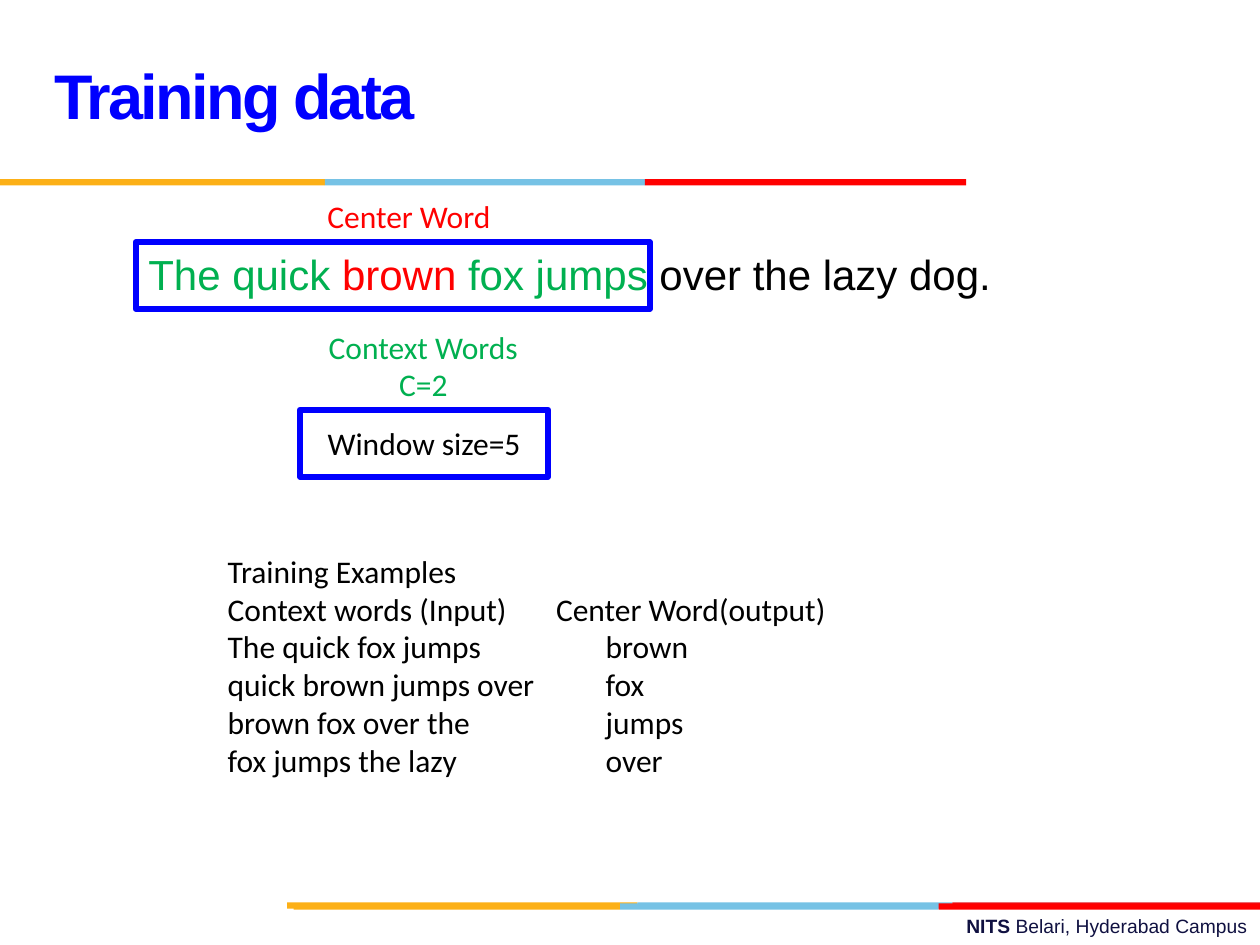
from dataclasses import dataclass

from lxml import etree
from pptx import Presentation
from pptx import util as u
from pptx.dml.color import RGBColor
from pptx.enum import shapes, text
from pptx.oxml import ns

AMBER = RGBColor(0xFC, 0xB0, 0x17)
SKY = RGBColor(0x76, 0xC2, 0xE5)
CRIMSON = RGBColor(0xE3, 0x1C, 0x24)
RED = RGBColor(0xFF, 0x00, 0x00)
GREEN = RGBColor(0x00, 0xB0, 0x50)
BLUE = RGBColor(0x00, 0x00, 0xFF)
NAVY = RGBColor(0x10, 0x11, 0x41)
BLACK = RGBColor(0x00, 0x00, 0x00)
LEFT, CENTER, RIGHT = text.PP_ALIGN.LEFT, text.PP_ALIGN.CENTER, text.PP_ALIGN.RIGHT


@dataclass
class Box:
    left: float
    top: float
    width: float
    height: float

    def lengths(self):
        return [u.Cm(v) for v in (self.left, self.top, self.width, self.height)]


@dataclass
class Band:
    """Three coloured strips between four edges."""
    top: float
    edges: tuple
    colors: tuple = (AMBER, SKY, RED)


@dataclass
class Piece:
    words: str
    color: RGBColor = BLACK
    bold: bool = False


BAND_HEIGHT = 0.13
BANDS = [
    Band(18.19, (5.79, 12.85, 19.2, 25.4), (AMBER, SKY, CRIMSON)),
    Band(18.21, (5.92, 12.5, 18.92, 25.4)),
    Band(3.61, (0, 6.55, 13, 19.48)),
]
SENTENCE = Box(2.74, 4.88, 17.58, 1.35)

# Each row: context words, center word, tab position in cm
EXAMPLES = [("Context words (Input)", "Center Word(output)", 6.62)] + [
    (context, center, 7.62) for context, center in (
        ("The quick fox jumps", "brown"),
        ("quick brown jumps over", "fox"),
        ("brown fox over the", "jumps"),
        ("fox jumps the lazy", "over"),
    )
]


def draw_band(slide, band: Band) -> None:
    for left, right, color in zip(band.edges, band.edges[1:], band.colors):
        box = Box(left, band.top, right - left, BAND_HEIGHT)
        strip = slide.shapes.add_shape(shapes.MSO_SHAPE.RECTANGLE, *box.lengths())
        strip.shadow.inherit = False
        strip.fill.solid()
        strip.fill.fore_color.rgb = color
        strip.line.fill.background()


def write(frame, lines: list, size: float, font="Calibri", align=LEFT) -> None:
    """Fill a frame with lines, each a list of pieces."""
    for number, pieces in enumerate(lines):
        paragraph = frame.add_paragraph() if number else frame.paragraphs[0]
        paragraph.alignment = align
        for piece in pieces:
            run = paragraph.add_run()
            run.text = piece.words
            run.font.size = u.Pt(size)
            run.font.name = font
            run.font.bold = piece.bold
            run.font.color.rgb = piece.color


def draw_text(slide, box: Box, lines: list, size=18, font="Calibri",
              align=LEFT, wrap=False):
    frame = slide.shapes.add_textbox(*box.lengths()).text_frame
    frame.word_wrap = wrap
    write(frame, lines, size, font, align)
    return frame


def draw_outline(slide, box: Box):
    outline = slide.shapes.add_shape(shapes.MSO_SHAPE.RECTANGLE, *box.lengths())
    outline.shadow.inherit = False
    outline.fill.background()
    outline.line.color.rgb = BLUE
    outline.line.width = u.Pt(3.5)
    return outline.text_frame


def draw_title(slide, words: str) -> None:
    title = slide.shapes.title
    title.left, title.top, title.width, title.height = Box(0.84, 0.43, 17.58, 3.18).lengths()
    frame = title.text_frame
    frame.vertical_anchor = text.MSO_ANCHOR.MIDDLE
    write(frame, [[Piece(words, BLUE, True)]], 36, "Arial")
    paragraph = frame.paragraphs[0]
    paragraph.line_spacing = u.Pt(36)
    paragraph.runs[0].font._element.set("spc", "-150")


def set_tab(paragraph, position: float) -> None:
    stops = etree.SubElement(paragraph._p.get_or_add_pPr(), ns.qn("a:tabLst"))
    etree.SubElement(stops, ns.qn("a:tab"), pos=str(u.Cm(position)), algn="l")


def main() -> None:
    deck = Presentation()
    deck.slide_width, deck.slide_height = u.Cm(25.4), u.Cm(19.05)
    slide = deck.slides.add_slide(deck.slide_layouts[5])

    # Footer and coloured bands
    draw_text(slide, Box(9.09, 18.31, 16.31, 0.74),
              [[Piece("NITS ", NAVY, True), Piece("Belari, Hyderabad Campus", NAVY)]],
              11, "Arial", RIGHT, True)
    for band in BANDS:
        draw_band(slide, band)

    draw_title(slide, "Training data")

    # Sentence with its labels
    draw_text(slide, SENTENCE,
              [[Piece("The quick ", GREEN), Piece("brown ", RED),
                Piece("fox jumps ", GREEN), Piece("over the lazy dog.")]],
              24, "Arial", wrap=True)
    draw_text(slide, Box(6.35, 3.84, 3.84, 1.02), [[Piece("Center Word", RED)]])
    draw_text(slide, Box(6.35, 6.48, 4.37, 1.8),
              [[Piece("Context Words", GREEN)], [Piece("C=2", GREEN)]], align=CENTER)

    # Window around the sentence, and its size
    draw_outline(slide, Box(SENTENCE.left, SENTENCE.top, 10.36, SENTENCE.height))
    window_size = draw_outline(slide, Box(6.05, 8.26, 5, 1.35))
    window_size.vertical_anchor = text.MSO_ANCHOR.MIDDLE
    write(window_size, [[Piece("Window size=5")]], 18, align=CENTER)

    # Training examples
    rows = [[Piece(f"{context}\t{center}")] for context, center, _ in EXAMPLES]
    examples = draw_text(slide, Box(4.34, 11, 12.73, 5.64),
                         [[Piece("Training Examples")]] + rows, wrap=True)
    for paragraph, (_, _, position) in zip(examples.paragraphs[1:], EXAMPLES):
        set_tab(paragraph, position)

    deck.save("out.pptx")


if __name__ == "__main__":
    main()
